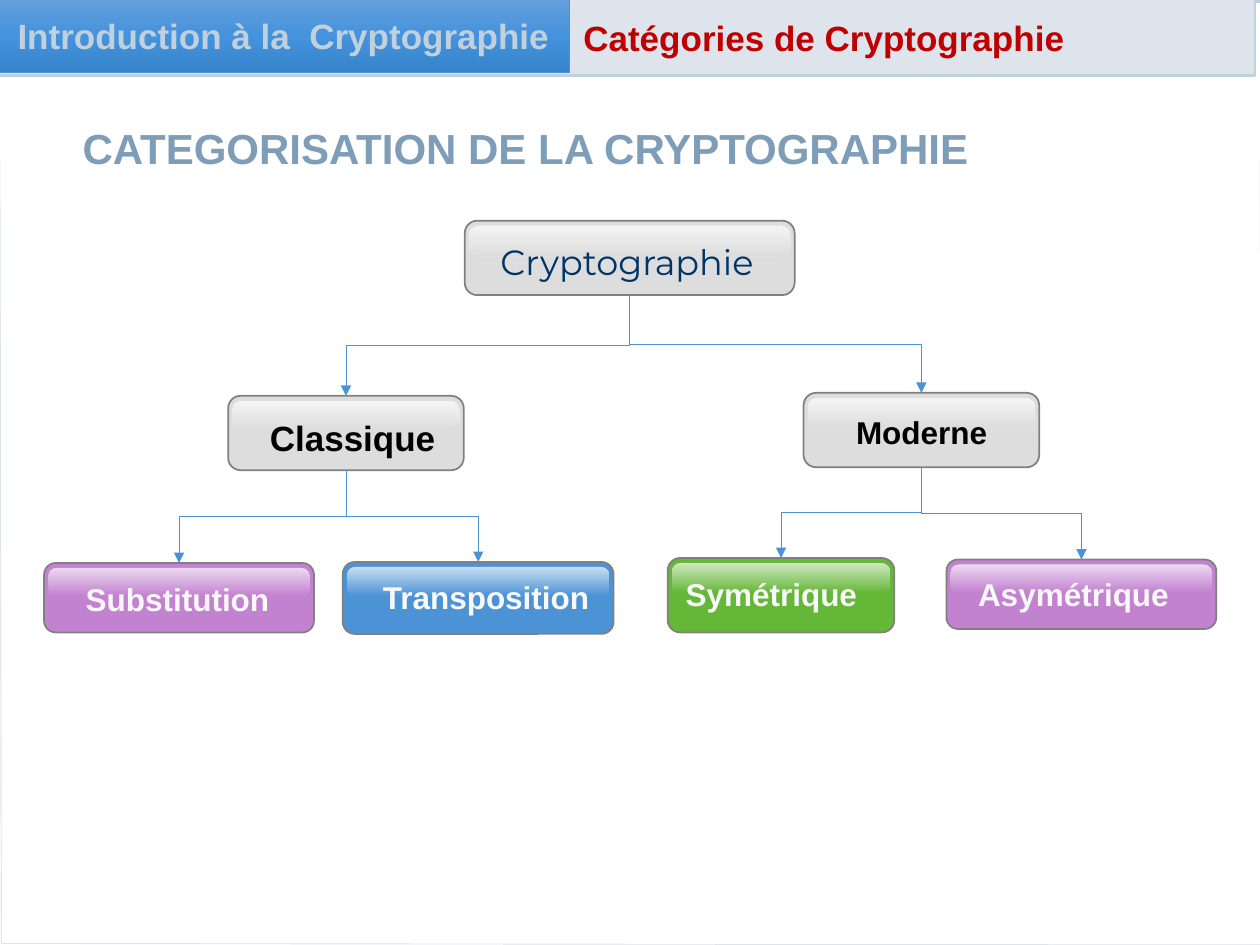
from copy import deepcopy

from lxml.etree import SubElement
from pptx import Presentation
from pptx.dml.color import RGBColor
from pptx.enum.shapes import MSO_CONNECTOR, MSO_SHAPE
from pptx.enum.text import MSO_ANCHOR, PP_ALIGN
from pptx.oxml.ns import qn
from pptx.util import Cm, Pt

WHITE, GREY, PALE, MIST = "FFFFFF", "DDDDDD", "DDE4EB", "C1D0DD"
BLUE, PURPLE, GREEN, LIGHT = "4B93D5", "C382D0", "65B737", "F8F8F8"

# name: box (left, top, width, height), fill, text centre, text top, text format
NODES = {
    "Cryptographie": ((9.37, 4.45, 6.65, 1.5), GREY, 12.64, 4.72,
                      dict(size=20, color="003366", name="Montserrat", bold=False)),
    "Classique": ((4.6, 7.98, 4.75, 1.5), GREY, 7.11, 8.28, dict(size=20, color="000000")),
    "Moderne": ((16.2, 7.92, 4.75, 1.5), GREY, 18.58, 8.2, dict(size=18, color="000000")),
    "Substitution": ((0.89, 11.35, 5.44, 1.4), PURPLE, 3.58, 11.56, dict(shadow=True)),
    "Transposition": ((6.91, 11.33, 5.46, 1.45), BLUE, 9.8, 11.53, dict(shadow=True)),
    "Symétrique": ((13.46, 11.25, 4.57, 1.5), GREEN, 15.55, 11.46, dict(shadow=True)),
    "Asymétrique": ((19.08, 11.28, 5.44, 1.4), PURPLE, 21.64, 11.46, dict(shadow=True)),
}
TREE = {
    "Cryptographie": ("Classique", "Moderne"),
    "Classique": ("Substitution", "Transposition"),
    "Moderne": ("Symétrique", "Asymétrique"),
}


def rgb(value):
    return RGBColor.from_string(value)


class Deck:
    """Holds the text style and the current slide."""

    font = dict(name="Arial", bold=True)

    def __init__(self, slide):
        self.s = slide

    def gradient(self, fill, colours, alpha=None):
        """Fill from top to bottom with evenly spaced colours."""
        fill.gradient()
        fill.gradient_angle = 270
        first = fill.gradient_stops[0]._gs
        for _ in colours[2:]:
            first.addnext(deepcopy(first))
        for i, (stop, colour) in enumerate(zip(fill.gradient_stops, colours)):
            stop.position = i / (len(colours) - 1)
            stop.color.rgb = rgb(colour)
            if alpha:
                clr = stop._gs.find(qn("a:srgbClr"))
                SubElement(clr, qn("a:alpha")).set("val", str(alpha * 1000))

    def paint(self, sp, fill, line=None, width=1, alpha=None):
        sp.shadow.inherit = False
        if isinstance(fill, str):
            sp.fill.solid()
            sp.fill.fore_color.rgb = rgb(fill)
        else:
            self.gradient(sp.fill, fill, alpha)
        if line:
            sp.line.color.rgb = rgb(line)
            sp.line.width = Pt(width)
        else:
            sp.line.fill.background()

    def shape(self, box, fill, line=None, width=1, corner=None, alpha=None):
        kind = MSO_SHAPE.ROUNDED_RECTANGLE if corner else MSO_SHAPE.RECTANGLE
        sp = self.s.shapes.add_shape(kind, *map(Cm, box))
        if corner:
            sp.adjustments[0] = corner
        self.paint(sp, fill, line, width, alpha)
        return sp

    def outline(self, points, fill, line, width):
        start, *rest = [(Cm(x), Cm(y)) for x, y in points]
        builder = self.s.shapes.build_freeform(*start)
        builder.add_line_segments(rest, close=True)
        self.paint(builder.convert_to_shape(), fill, line, width)

    def label(self, sp, text, size=18, color=LIGHT, align=PP_ALIGN.CENTER,
              anchor=MSO_ANCHOR.TOP, shadow=False, **font):
        tf = sp.text_frame
        tf.word_wrap = True
        tf.vertical_anchor = anchor
        p = tf.paragraphs[0]
        p.alignment = align
        r = p.add_run()
        r.text = text
        r.font.color.rgb = rgb(color)
        if shadow:
            effects = SubElement(r.font._element, qn("a:effectLst"))
            shade = SubElement(effects, qn("a:outerShdw"), dist="38100", dir="2700000")
            SubElement(shade, qn("a:srgbClr"), val="000000")
        for key, value in {**self.font, "size": Pt(size), **font}.items():
            setattr(r.font, key, value)

    def text(self, box, text, **style):
        self.label(self.s.shapes.add_textbox(*map(Cm, box)), text, **style)

    def node(self, name, box, colour, centre, text_top, style):
        """Rounded box with a glossy upper half and a label."""
        x, y, w, h = box
        self.shape(box, colour, "808080", corner=0.167)
        self.shape((x + 0.09, y + 0.1, w - 0.18, h * 0.41), (WHITE, colour),
                   corner=0.284, alpha=70)
        self.text((centre - w / 2, text_top, w, 1), name, **style)

    def branch(self, parent, child):
        """Elbow arrow from the bottom of one box to the top of another."""
        x1, y1 = parent[0] + parent[2] / 2, parent[1] + parent[3]
        x2, y2 = child[0] + child[2] / 2, child[1]
        cx, cy = (x1 + x2) / 2, (y1 + y2) / 2
        # The elbow starts sideways, so it is laid flat and then turned
        half_w, half_h = (y2 - y1) / 2, abs(x2 - x1) / 2
        c = self.s.shapes.add_connector(
            MSO_CONNECTOR.ELBOW, Cm(cx - half_w), Cm(cy - half_h),
            Cm(cx + half_w), Cm(cy + half_h))
        c.line.color.rgb = rgb(BLUE)
        c.line.width = Pt(0.5)
        sp_pr = c._element.spPr
        turn = {"rot": "5400000"} if x2 < x1 else {"rot": "16200000", "flipH": "1"}
        for key, value in turn.items():
            sp_pr.find(qn("a:xfrm")).set(key, value)
        SubElement(sp_pr.find(qn("a:ln")), qn("a:tailEnd"), type="triangle")
        SubElement(sp_pr, qn("a:effectLst"))


def main():
    prs = Presentation()
    prs.slide_width, prs.slide_height = Cm(25.4), Cm(19.05)
    s = prs.slides.add_slide(prs.slide_layouts[6])
    deck = Deck(s)

    deck.gradient(s.background.fill, (MIST, WHITE))
    deck.outline([(0.03, 19.02), (25.48, 19.05), (25.4, 3.07), (0, 3.07)],
                 WHITE, PALE, 0.5)
    deck.shape((0, 0.08, 25.4, 3.12), WHITE, WHITE)
    deck.shape((-0.05, -0.08, 25.35, 1.6), PALE, MIST, 1.5)

    for name, node in NODES.items():
        deck.node(name, *node)
    for parent, children in TREE.items():
        for child in children:
            deck.branch(NODES[parent][0], NODES[child][0])

    deck.text((11.51, 0.2, 11.61, 1.12), "Catégories de Cryptographie",
              size=20, color="C00000", align=PP_ALIGN.LEFT)
    tab = deck.shape((-0.05, -0.03, 11.53, 1.5), ("669FDB", "4493DC", "3583CB"), BLUE, 0.5)
    deck.label(tab, "Introduction à la  Cryptographie",
               size=20, color=MIST, anchor=MSO_ANCHOR.MIDDLE)
    deck.text((0.89, 2.34, 19.41, 1.27), "CATEGORISATION DE LA CRYPTOGRAPHIE",
              size=24, color="7E9DB8")

    prs.save("out.pptx")


if __name__ == "__main__":
    main()
